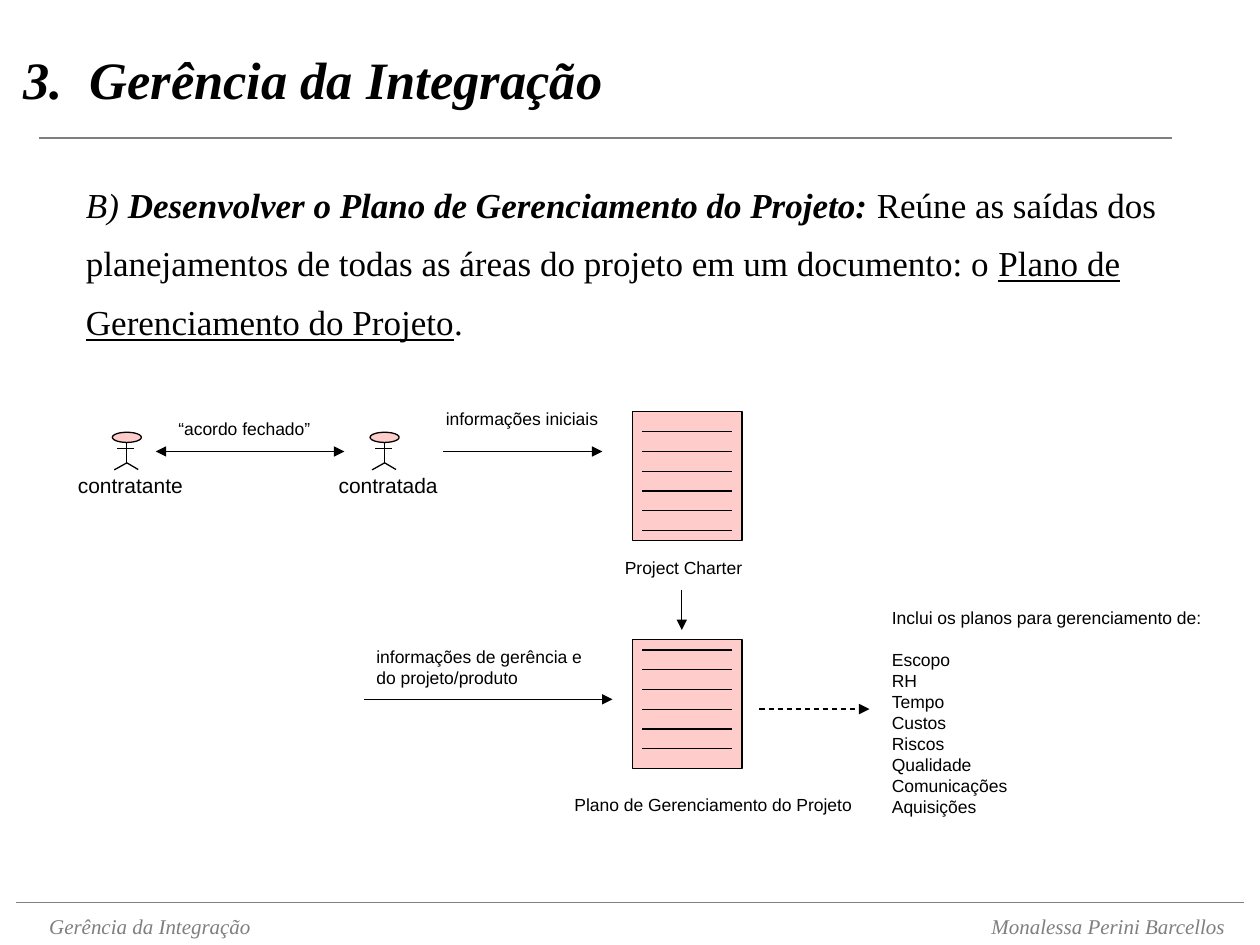
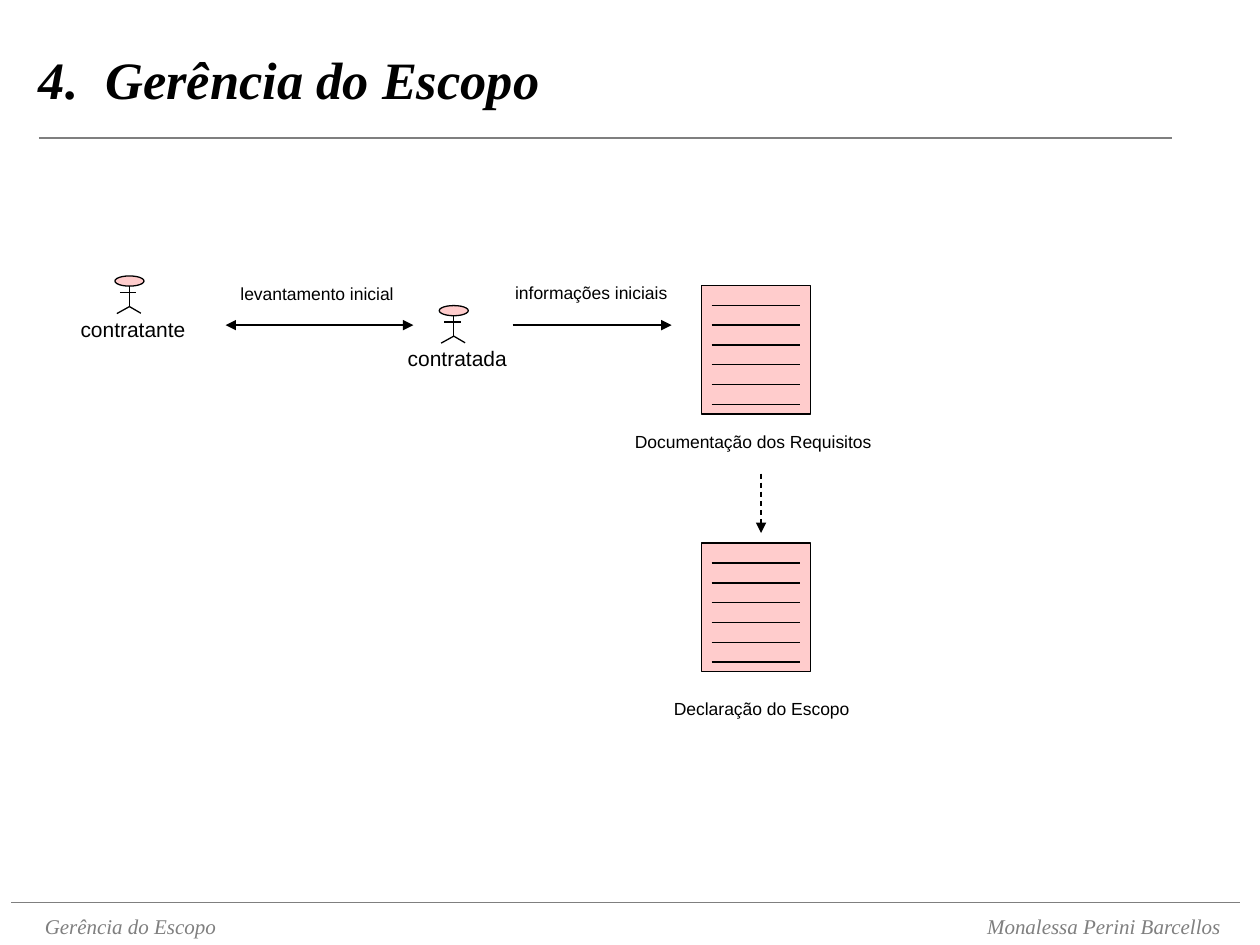
from dataclasses import dataclass

from lxml import etree
from pptx import Presentation
from pptx.dml.color import RGBColor
from pptx.enum.dml import MSO_LINE
from pptx.enum.shapes import MSO_CONNECTOR, MSO_SHAPE
from pptx.enum.text import MSO_ANCHOR, MSO_AUTO_SIZE, PP_ALIGN
from pptx.oxml.ns import qn
from pptx.util import Pt

STRAIGHT = MSO_CONNECTOR.STRAIGHT
OVAL, RECTANGLE = MSO_SHAPE.OVAL, MSO_SHAPE.RECTANGLE
LEFT, CENTER = PP_ALIGN.LEFT, PP_ALIGN.CENTER
MIDDLE, NO_FIT = MSO_ANCHOR.MIDDLE, MSO_AUTO_SIZE.NONE
DASH = MSO_LINE.DASH


@dataclass(frozen=True)
class Theme:
    ink: RGBColor = RGBColor(0x00, 0x00, 0x00)
    gray: RGBColor = RGBColor(0x7F, 0x7F, 0x7F)
    pink: RGBColor = RGBColor(0xFF, 0xCC, 0xCC)
    serif: str = "Times New Roman"
    sans: str = "Arial"
    title_size: int = 30
    body_size: int = 20
    small_size: int = 12
    label_size: int = 10
    thin: float = 0.75
    rule: float = 1


theme = Theme()
TITLE = {"name": theme.serif, "size": Pt(theme.title_size), "bold": True, "italic": True}
BODY = {"name": theme.serif, "size": Pt(theme.body_size)}
FOOTER = {"name": theme.serif, "size": Pt(theme.small_size), "italic": True}
ACTOR = {"name": theme.sans, "size": Pt(theme.small_size)}
LABEL = {"name": theme.sans, "size": Pt(theme.label_size)}
AUTHOR = "Monalessa Perini Barcellos"


def write(box, paragraphs, font, color=theme.ink, align=LEFT, wrap=True, tab=None):
    """Fill a box; a paragraph is a list of (text, extra font values)."""
    frame = box.text_frame
    frame.auto_size = NO_FIT
    frame.word_wrap = wrap
    for number, spans in enumerate(paragraphs):
        para = frame.add_paragraph() if number else frame.paragraphs[0]
        para.alignment = align
        if tab:
            position, side = tab
            stops = etree.SubElement(para._p.get_or_add_pPr(), qn("a:tabLst"))
            etree.SubElement(stops, qn("a:tab"), pos=str(Pt(position)), algn=side)
        for text, extra in spans:
            span = para.add_run()
            span.text = text
            span.font.color.rgb = color
            for key, value in {**font, **extra}.items():
                setattr(span.font, key, value)
    return frame


def draw_line(page, x1, y1, x2, y2, color=theme.ink, width=theme.thin, ends=(), dash=None):
    line = page.shapes.add_connector(STRAIGHT, Pt(x1), Pt(y1), Pt(x2), Pt(y2))
    line.line.color.rgb = color
    line.line.width = Pt(width)
    if dash:
        line.line.dash_style = dash
    for end in ends:
        etree.SubElement(line.line._get_or_add_ln(), qn(f"a:{end}"), type="triangle")
    etree.SubElement(line._element.spPr, qn("a:effectLst"))


ONE_WAY, TWO_WAY = ("tailEnd",), ("headEnd", "tailEnd")

# Actors: centre, top, name. Documents: left, top, width, offset of first text line.
# Arrows: start, end, heads, dash. Labels: left, top, width, height, lines.
slides = [
    {
        "number": "3.", "topic": "Gerência da Integração", "title_left": 6, "footer_left": 21,
        "actors": [(72.5, 247, "contratante"), (219.8, 247, "contratada")],
        "documents": [(361.4, 235.2, 62.6, 11.5), (361.4, 365.6, 62.6, 5.8)],
        "arrows": [
            (89, 258, 196.8, 258, TWO_WAY, None),
            (253.3, 258, 344.2, 258, ONE_WAY, None),
            (389.6, 337, 389.6, 360, ONE_WAY, None),
            (208, 399.6, 350, 399.6, ONE_WAY, None),
            (434, 405.2, 496.8, 405.2, ONE_WAY, DASH),
        ],
        "labels": [
            (94.8, 235.4, 89.5, 19.4, ["“acordo fechado”"]),
            (247.7, 229.7, 100.8, 19.4, ["informações iniciais"]),
            (350, 314.6, 81.4, 19.4, ["Project Charter"]),
            (208, 365.8, 134.6, 31.7, ["informações de gerência e", "do projeto/produto"]),
            (321.2, 450, 172.8, 19.4, ["Plano de Gerenciamento do Projeto"]),
        ],
    },
    {
        "number": "4.", "topic": "Gerência do Escopo", "title_left": 15, "footer_left": 18.5,
        "actors": [(74, 157.7, "contratante"), (259.3, 174.6, "contratada")],
        "documents": [(401, 163, 62, 11.5), (401, 310.3, 62, 11.5)],
        "arrows": [
            (128.9, 185.8, 236.2, 185.8, TWO_WAY, None),
            (293, 185.8, 383.8, 185.8, ONE_WAY, None),
            (434.9, 270.7, 434.9, 304.6, ONE_WAY, DASH),
        ],
        "labels": [
            (130.3, 158.4, 104.4, 19.4, ["levantamento inicial"]),
            (287.3, 157.7, 100.8, 19.4, ["informações iniciais"]),
            (355.7, 242.6, 149, 19.4, ["Documentação dos Requisitos"]),
            (378, 395.3, 114.5, 19.4, ["Declaração do Escopo"]),
        ],
    },
]

# Body, arms and legs, measured from the centre and top of the head
LIMBS = [(0, 6, 0, 17.5), (-5.5, 9.4, 4, 9.4), (0, 17.5, -7.2, 21.5), (0, 17.5, 6.5, 21.3)]
HEAD_WIDTH, HEAD_HEIGHT = 16.6, 5.8
DOCUMENT_HEIGHT, TEXT_LINES, TEXT_STEP, TEXT_MARGIN = 73.6, 6, 11.3, 5.6

deck = Presentation()
deck.slide_width, deck.slide_height = Pt(720), Pt(540)
title_only = deck.slide_layouts[5]
pages = []

for slide in slides:
    page = deck.slides.add_slide(title_only)
    pages.append(page)

    # Title and rule
    title = page.shapes.title
    title.left, title.top = Pt(slide["title_left"]), Pt(0)
    title.width, title.height = Pt(714), Pt(90)
    heading = f"{slide['number']}\t{slide['topic']}"
    write(title, [[(heading, {})]], TITLE, tab=(38, "l")).vertical_anchor = MIDDLE
    draw_line(page, 22.3, 78.8, 669.6, 78.8, theme.gray, theme.rule)

    # Footer
    left = slide["footer_left"]
    draw_line(page, left - 12, 515.6, left + 690, 515.6, theme.gray)
    footer = page.shapes.add_textbox(Pt(left), Pt(518.4), Pt(691), Pt(21.6))
    credit = f"{slide['topic']}\t{AUTHOR}"
    write(footer, [[(credit, {})]], FOOTER, theme.gray, tab=(672, "r"))

    # Filled shapes: heads of the actors and sheets of the documents
    filled = [
        (OVAL, center - HEAD_WIDTH / 2, top, HEAD_WIDTH, HEAD_HEIGHT)
        for center, top, name in slide["actors"]
    ] + [
        (RECTANGLE, left, top, width, DOCUMENT_HEIGHT)
        for left, top, width, first in slide["documents"]
    ]
    for kind, *place in filled:
        shape = page.shapes.add_shape(kind, *map(Pt, place))
        shape.shadow.inherit = False
        shape.fill.solid()
        shape.fill.fore_color.rgb = theme.pink
        shape.line.color.rgb = theme.ink
        shape.line.width = Pt(theme.thin)

    # Limbs and names of the actors
    for center, top, name in slide["actors"]:
        for x1, y1, x2, y2 in LIMBS:
            draw_line(page, center + x1, top + y1, center + x2, top + y2)
        box = page.shapes.add_textbox(Pt(center - 51.5), Pt(top + 19.4), Pt(107), Pt(21.6))
        write(box, [[(name, {})]], ACTOR, align=CENTER)

    # Text lines on the documents
    for left, top, width, first in slide["documents"]:
        for row in range(TEXT_LINES):
            y = top + first + row * TEXT_STEP
            draw_line(page, left + TEXT_MARGIN, y, left + width - TEXT_MARGIN, y)

    # Arrows and their labels
    for x1, y1, x2, y2, ends, dash in slide["arrows"]:
        draw_line(page, x1, y1, x2, y2, ends=ends, dash=dash)
    for *place, lines in slide["labels"]:
        box = page.shapes.add_textbox(*map(Pt, place))
        write(box, [[(text, {})] for text in lines], LABEL, wrap=False)

# Definition on the first slide
definition = [
    ("B) ", {"italic": True}),
    ("Desenvolver o Plano de Gerenciamento do Projeto: ", {"bold": True, "italic": True}),
    ("Reúne as saídas dos planejamentos de todas as áreas do projeto em um documento: o ", {}),
    ("Plano de Gerenciamento do Projeto", {"underline": True}),
    (".", {}),
]
box = pages[0].shapes.add_textbox(Pt(42), Pt(91.5), Pt(661), Pt(110))
write(box, [definition], BODY).paragraphs[0].line_spacing = 1.4

# Plans included in the project plan
plans = ["Inclui os planos para gerenciamento de:", "Escopo", "RH", "Tempo", "Custos",
         "Riscos", "Qualidade", "Comunicações", "Aquisições"]
box = pages[0].shapes.add_textbox(Pt(502.6), Pt(343.4), Pt(196), Pt(127.4))
frame = write(box, [[(plan, {})] for plan in plans], LABEL)
frame.paragraphs[1].space_before = Pt(12)

deck.save("out.pptx")
